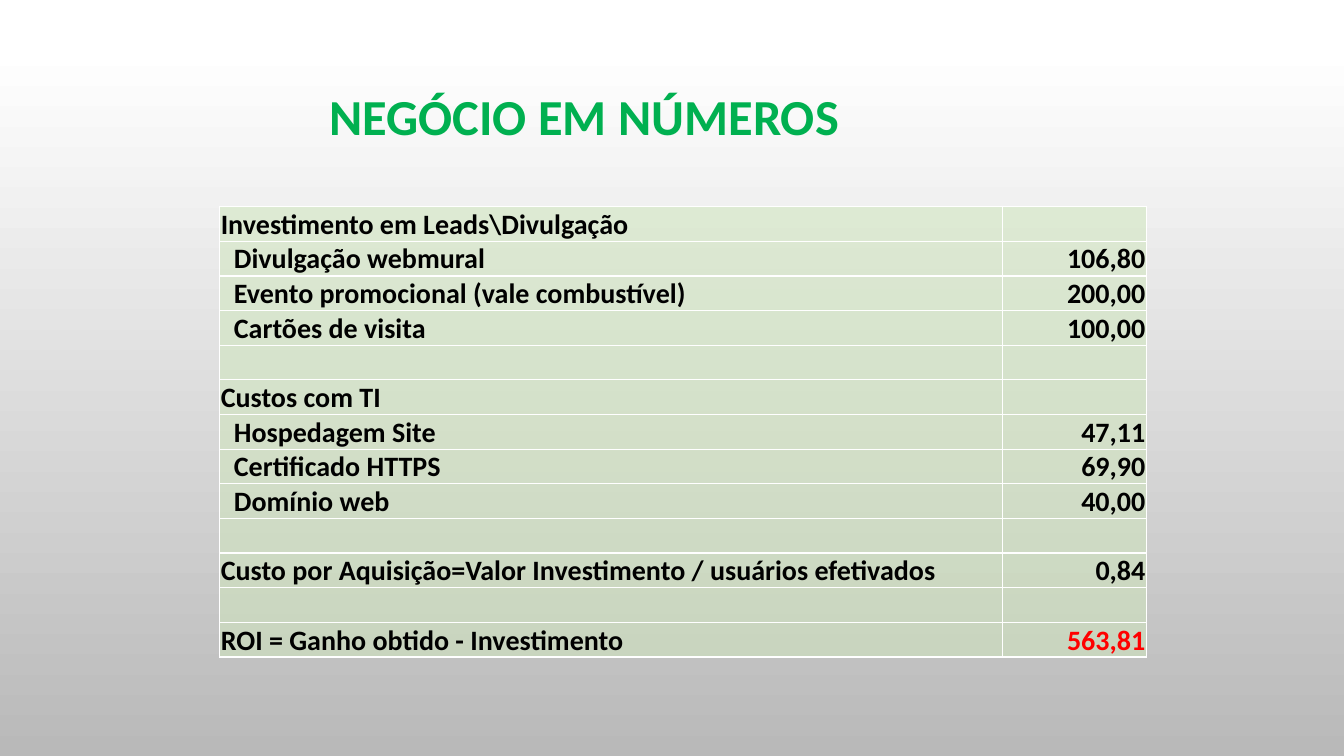
from dataclasses import dataclass

from lxml import etree
from pptx import Presentation
from pptx.dml.color import RGBColor
from pptx.enum.text import MSO_ANCHOR, PP_ALIGN
from pptx.oxml.ns import qn
from pptx.util import Inches, Pt

MIDDLE, BOTTOM = MSO_ANCHOR.MIDDLE, MSO_ANCHOR.BOTTOM
LEFT, RIGHT = PP_ALIGN.LEFT, PP_ALIGN.RIGHT


@dataclass(frozen=True)
class Theme:
    font: str = "Calibri"
    title_size: int = 36
    table_size: int = 20
    title: str = "00B050"
    text: str = "000000"
    highlight: str = "FF0000"
    cell: str = "CFE6BC"
    cell_opacity: int = 54
    border: str = "FFFFFF"
    border_width: int = 1
    background: tuple = ((0.06, "FFFFFF"), (1, "B9B9B9"))


THEME = Theme()

COLUMN_WIDTHS = (7.76, 1.43)
TABLE_HEIGHT = 4.47
CELL_MARGIN = 0.01
ITEM_INDENT = 0.13

BUSINESS_ROWS = (
    ("Investimento em Leads\\Divulgação", "", False),
    ("Divulgação webmural", "106,80", True),
    ("Evento promocional (vale combustível)", "200,00", True),
    ("Cartões de visita", "100,00", True),
    ("", "", False),
    ("Custos com TI", "", False),
    ("Hospedagem Site", "47,11", True),
    ("Certificado HTTPS", "69,90", True),
    ("Domínio web", "40,00", True),
    ("", "", False),
    ("Custo por Aquisição=Valor Investimento / usuários efetivados", "0,84", False),
    ("", "", False),
    ("ROI = Ganho obtido - Investimento", "563,81", False),
)


def write_text(frame, text, size=THEME.table_size, color=THEME.text,
               align=LEFT, line_spacing=None):
    paragraph = frame.paragraphs[0]
    paragraph.alignment = align
    paragraph.line_spacing = line_spacing
    run = paragraph.add_run()
    run.text = text
    run.font.name = THEME.font
    run.font.size = Pt(size)
    run.font.bold = True
    run.font.color.rgb = RGBColor.from_string(color)


def set_background(slide):
    fill = slide.background.fill
    fill.gradient()
    fill.gradient_angle = 270
    for stop, (position, color) in zip(fill.gradient_stops, THEME.background):
        stop.position = position
        stop.color.rgb = RGBColor.from_string(color)


def add_title(slide, text):
    box = slide.shapes.add_textbox(Inches(1.17), Inches(0.84), Inches(11.33), Inches(0.69))
    frame = box.text_frame
    frame.word_wrap = True
    frame.vertical_anchor = MIDDLE
    frame.margin_left = Inches(2.1)
    write_text(frame, text, size=THEME.title_size, color=THEME.title, line_spacing=0.9)


def style_cell(cell):
    cell.fill.solid()
    cell.fill.fore_color.rgb = RGBColor.from_string(THEME.cell)
    properties = cell._tc.get_or_add_tcPr()
    cell_color = properties.find(".//" + qn("a:srgbClr"))
    etree.SubElement(cell_color, qn("a:alpha"), val=str(THEME.cell_opacity * 1000))
    for index, side in enumerate(("lnL", "lnR", "lnT", "lnB")):
        line = etree.Element(qn("a:" + side), w=str(Pt(THEME.border_width)))
        line_fill = etree.SubElement(line, qn("a:solidFill"))
        etree.SubElement(line_fill, qn("a:srgbClr"), val=THEME.border)
        properties.insert(index, line)


def fill_cell(cell, text, indent=0, **text_format):
    cell.margin_left = Inches(CELL_MARGIN + indent)
    cell.margin_right = cell.margin_top = Inches(CELL_MARGIN)
    cell.margin_bottom = 0
    cell.vertical_anchor = BOTTOM
    write_text(cell.text_frame, text, **text_format)
    style_cell(cell)


def add_business_table(slide, rows):
    table = slide.shapes.add_table(
        len(rows), len(COLUMN_WIDTHS), Inches(2.18), Inches(2.05),
        Inches(sum(COLUMN_WIDTHS)), Inches(TABLE_HEIGHT)).table
    table.first_row = table.horz_banding = False
    for column, width in zip(table.columns, COLUMN_WIDTHS):
        column.width = Inches(width)
    last = len(rows) - 1
    for index, (label, value, is_item) in enumerate(rows):
        fill_cell(table.cell(index, 0), label, indent=ITEM_INDENT if is_item else 0)
        fill_cell(table.cell(index, 1), value, align=RIGHT,
                  color=THEME.highlight if index == last else THEME.text)


def main():
    presentation = Presentation()
    presentation.slide_width = Inches(13.33)
    presentation.slide_height = Inches(7.5)
    slide = presentation.slides.add_slide(presentation.slide_layouts[6])
    set_background(slide)
    add_title(slide, "NEGÓCIO EM NÚMEROS")
    add_business_table(slide, BUSINESS_ROWS)
    presentation.save("out.pptx")


if __name__ == "__main__":
    main()
